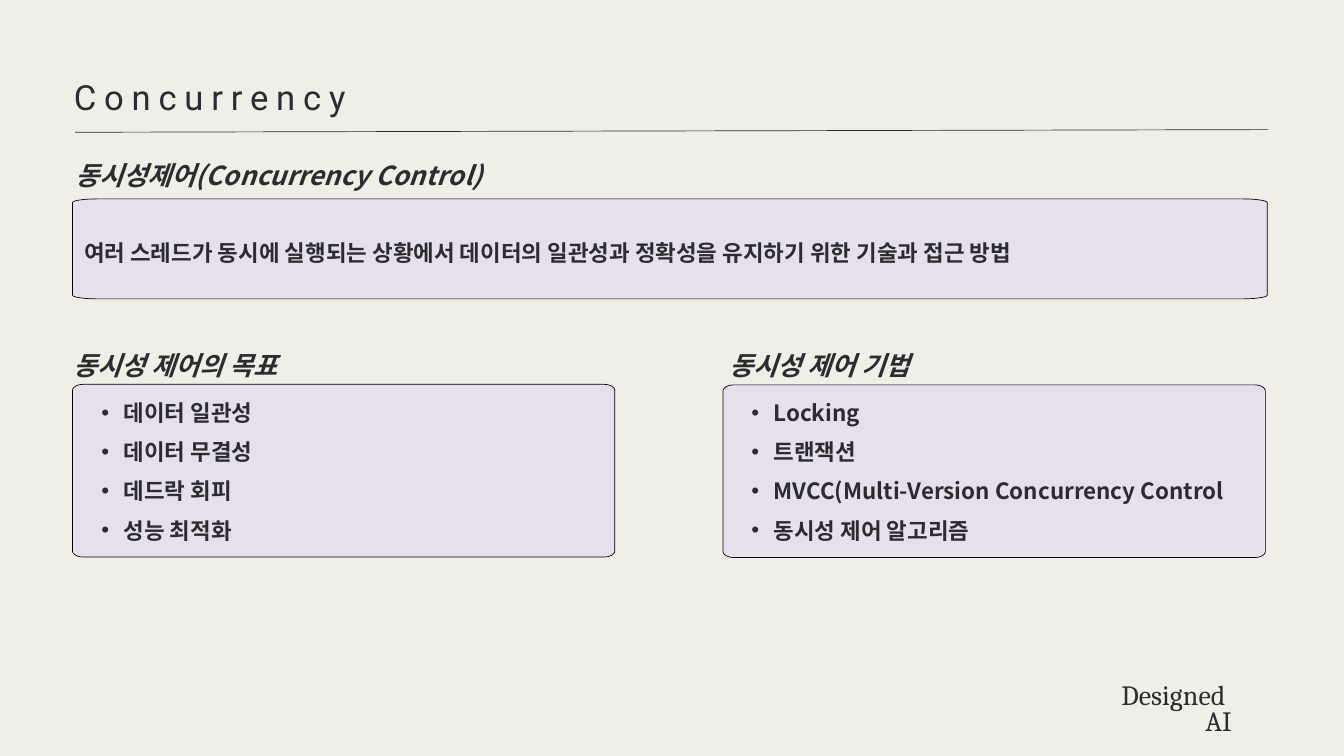
"""Build the slide on concurrency control."""
from math import cos, pi, sin

from lxml.etree import SubElement
from pptx import Presentation
from pptx.dml.color import RGBColor
from pptx.enum.shapes import MSO_CONNECTOR
from pptx.enum.text import MSO_AUTO_SIZE, PP_ALIGN
from pptx.oxml.ns import qn
from pptx.util import Cm, Pt

LINE = MSO_CONNECTOR.STRAIGHT
GROW = MSO_AUTO_SIZE.SHAPE_TO_FIT_TEXT
LEFT, RIGHT = PP_ALIGN.LEFT, PP_ALIGN.RIGHT
SANS = "Noto Sans CJK KR"
INK, PAPER, LILAC, BLACK = "2B2C30", "EFEEE7", "E6E0EC", "000000"


def paint(color, value):
    color.rgb = RGBColor.from_string(value)


def write(text, x, y, w, h, size=24, font=SANS, bold=True, italic=False,
          gap=42, track=0, align=LEFT, inset=0.0, wrap=True, bullet=False):
    box = slide.shapes.add_textbox(Cm(x), Cm(y), Cm(w), Cm(h))
    frame = box.text_frame
    frame.word_wrap = wrap
    frame.auto_size = GROW
    frame.margin_left = frame.margin_right = Cm(inset)
    frame.margin_top = frame.margin_bottom = Cm(inset / 2)
    for i, line in enumerate(text.split("\n")):
        para = frame.paragraphs[0] if i == 0 else frame.add_paragraph()
        para.alignment = align
        para.line_spacing = Pt(gap)
        if bullet:
            para.level = 1
            props = para._p.get_or_add_pPr()
            props.set("marL", str(Cm(1.68)))
            props.set("indent", str(Cm(-0.84)))
            SubElement(props, qn("a:buFont"), typeface="Arial")
            SubElement(props, qn("a:buChar"), char="•")
        run = para.add_run()
        run.text = line
        run.font.size = Pt(size)
        run.font.bold, run.font.italic = bold, italic
        paint(run.font.color, INK)
        run.font.name = font
        props = run._r.get_or_add_rPr()
        SubElement(props, qn("a:ea"), typeface=font)
        if track:
            props.set("spc", str(round(track * 100)))


deck = Presentation()
deck.slide_width, deck.slide_height = Cm(50.8), Cm(28.58)
slide = deck.slides.add_slide(deck.slide_layouts[6])
slide.background.fill.solid()
paint(slide.background.fill.fore_color, PAPER)

panels = [
    (2.74, 14.53, 20.5, 6.53, 0.42, 0.23),
    (27.33, 14.55, 20.5, 6.53, 0.42, 0.23),
    (2.74, 7.52, 45.16, 3.78, 0.94, 0.14),
]
for x, y, w, h, rx, ry in panels:
    mids = [(x + w - rx, y + h - ry), (x + rx, y + h - ry),
            (x + rx, y + ry), (x + w - rx, y + ry)]
    points = []
    for turn, (mx, my) in enumerate(mids):
        for step in range(7):
            angle = (turn + step / 6) * pi / 2
            points.append((Cm(mx + rx * cos(angle)), Cm(my + ry * sin(angle))))
    path = slide.shapes.build_freeform(*points[0])
    path.add_line_segments(points[1:], close=True)
    panel = path.convert_to_shape()
    panel.shadow.inherit = False
    panel.fill.solid()
    paint(panel.fill.fore_color, LILAC)
    paint(panel.line.color, BLACK)
    panel.line.width = Pt(0.75)

rule = slide.shapes.add_connector(LINE, Cm(2.84), Cm(5), Cm(47.93), Cm(4.9))
paint(rule.line.color, INK)
rule.line.width = Pt(0.75)
SubElement(rule._element.spPr, qn("a:effectLst"))

write("Concurrency", 2.79, 2.62, 45.09, 1.8, size=37.1, font="Roboto",
      bold=False, gap=52, track=8.4)
write("여러 스레드가 동시에 실행되는 상황에서 데이터의 일관성과 정확성을 유지하기 위한 기술과 접근 방법",
      3.18, 8.59, 45.09, 1.5)

heads = [
    ("동시성제어(Concurrency Control)", 2.62, 5.61, 26.37, True),
    ("동시성 제어의 목표", 2.54, 12.8, 8.59, False),
    ("동시성 제어 기법", 27.31, 12.8, 7.65, False),
]
for text, x, y, w, wrap in heads:
    write(text, x, y, w, 1.63, size=28, italic=True, inset=0.25, wrap=wrap)

lists = [
    ("데이터 일관성\n데이터 무결성\n데드락 회피\n성능 최적화", 2.74, 11.23),
    ("Locking\n트랜잭션\nMVCC(Multi-Version Concurrency Control\n동시성 제어 알고리즘",
     27.31, 23.4),
]
for text, x, w in lists:
    write(text, x, 14.5, w, 6.07, inset=0.25, bullet=True)

write("Designed \nAI", 40.64, 25.93, 5.92, 1.93, size=29.9, font="Cambria",
      bold=False, gap=27.2, track=0.1, align=RIGHT)

deck.save("out.pptx")
